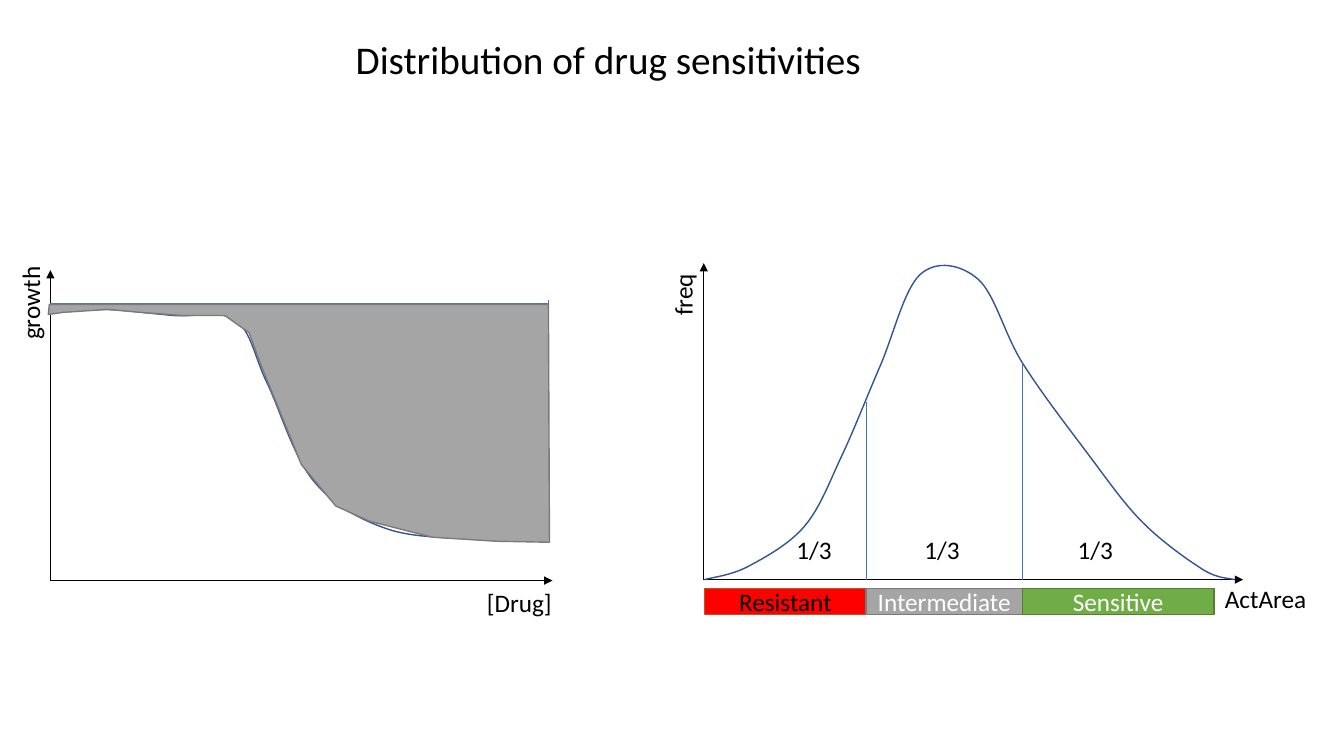
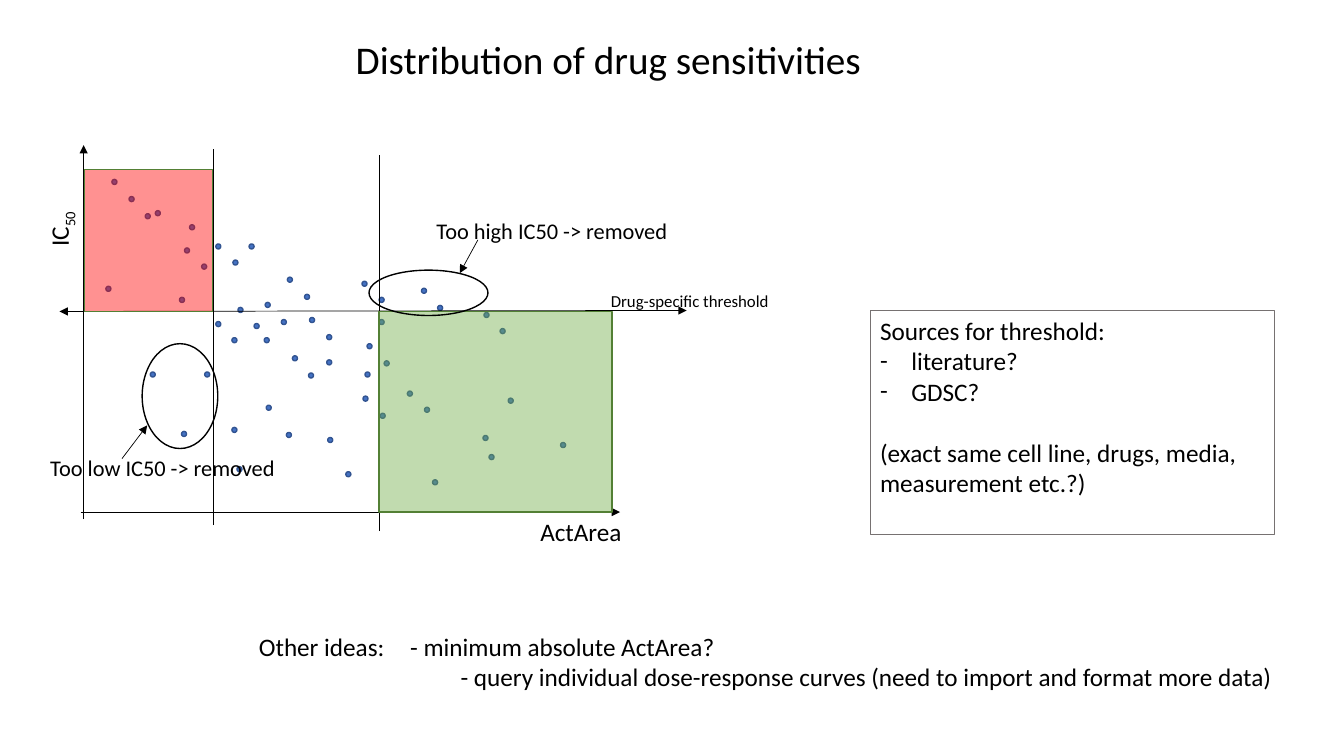
"""Build two slides on the distribution of drug sensitivities."""
import dataclasses
import itertools

import lxml.etree
import pptx
import pptx.dml.color
import pptx.enum.dml
import pptx.enum.shapes
import pptx.enum.text
import pptx.oxml
import pptx.oxml.ns
import pptx.util

COLUMNS, ROWS = 13.33, 7.5
TITLE = "Distribution of drug sensitivities"


@dataclasses.dataclass(frozen=True)
class Theme:
    font: str = "Calibri"
    title: int = 28
    body: int = 18
    note: int = 16
    small: int = 12
    hairline: float = 0.5
    frame: float = 0.75
    outline: float = 1
    ink: str = "000000"
    paper: str = "FFFFFF"
    blue: str = "4472C4"
    navy: str = "325491"
    red: str = "FF0000"
    rust: str = "AF5C24"
    grey: str = "A5A5A5"
    slate: str = "7A7A7A"
    stone: str = "767171"
    green: str = "70AD47"
    forest: str = "538035"
    veil: int = 43


class Deck:
    def __init__(self, theme):
        self.theme = theme
        self.file = pptx.Presentation()
        self.file.slide_width = pptx.util.Inches(COLUMNS)
        self.file.slide_height = pptx.util.Inches(ROWS)
        self.shapes = None

    def grid(self, *cells):
        return [round(self.file.slide_width / COLUMNS * cell) for cell in cells]

    def slide(self, title):
        self.shapes = self.file.slides.add_slide(self.file.slide_layouts[6]).shapes
        self.label(title, 3.43, 0.3, 5.27, 0.57, size=self.theme.title)

    def child(self, parent, tag, **attributes):
        element = lxml.etree.SubElement(parent, pptx.oxml.ns.qn(tag))
        for key, value in attributes.items():
            element.set(key, str(value))
        return element

    def run(self, paragraph, text, size=None, colour=None, baseline=0):
        piece = paragraph.add_run()
        piece.text = text
        piece.font.name = self.theme.font
        piece.font.size = pptx.util.Pt(size or self.theme.body)
        piece.font.color.rgb = pptx.dml.color.RGBColor.from_string(colour or self.theme.ink)
        if baseline:
            piece.font._element.set("baseline", str(baseline * 1000))

    def textbox(self, left, top, width, height, turn=0):
        box = self.shapes.add_textbox(*self.grid(left, top, width, height))
        box.rotation = turn
        box.text_frame.word_wrap = False
        box.text_frame.auto_size = pptx.enum.text.MSO_AUTO_SIZE.SHAPE_TO_FIT_TEXT
        return box.text_frame

    def label(self, text, left, top, width, height=0.4, size=None, turn=0, subscript=""):
        paragraph = self.textbox(left, top, width, height, turn).paragraphs[0]
        self.run(paragraph, text, size)
        if subscript:
            self.run(paragraph, subscript, size, baseline=-25)

    def stroke(self, shape, colour, weight):
        shape.line.color.rgb = pptx.dml.color.RGBColor.from_string(colour)
        shape.line.width = pptx.util.Pt(weight)

    def paint(self, shape, fill, outline, weight, opacity=100):
        shape.shadow.inherit = False
        self.stroke(shape, outline, weight)
        if fill is None:
            shape.fill.background()
            return
        shape.fill.solid()
        shape.fill.fore_color.rgb = pptx.dml.color.RGBColor.from_string(fill)
        if opacity < 100:
            colour = shape._element.spPr.find(".//" + pptx.oxml.ns.qn("a:solidFill"))[0]
            self.child(colour, "a:alpha", val=opacity * 1000)

    def preset(self, kind, left, top, width, height, fill=None, outline=None,
               weight=None, opacity=100):
        shape = self.shapes.add_shape(kind, *self.grid(left, top, width, height))
        self.paint(shape, fill, outline or self.theme.ink, weight or self.theme.outline, opacity)
        return shape

    def rectangle(self, *box, **style):
        return self.preset(pptx.enum.shapes.MSO_SHAPE.RECTANGLE, *box, **style)

    def ellipse(self, *box, **style):
        return self.preset(pptx.enum.shapes.MSO_SHAPE.OVAL, *box, **style)

    def line(self, start, end, colour=None, head=False, tail=False):
        connector = self.shapes.add_connector(
            pptx.enum.shapes.MSO_CONNECTOR.STRAIGHT, *self.grid(*start, *end))
        self.stroke(connector, colour or self.theme.ink, self.theme.hairline)
        properties = connector._element.spPr
        stroke = properties.find(pptx.oxml.ns.qn("a:ln"))
        for tag, wanted in (("a:headEnd", head), ("a:tailEnd", tail)):
            if wanted:
                self.child(stroke, tag, type="triangle")
        self.child(properties, "a:effectLst")

    def arrow(self, start, end, head=False):
        self.line(start, end, head=head, tail=True)

    def outline(self, points, closed, fill, colour):
        corners = [self.grid(*point) for point in points]
        builder = self.shapes.build_freeform(*corners[0])
        builder.add_line_segments(corners[1:], close=closed)
        shape = builder.convert_to_shape()
        self.paint(shape, fill, colour, self.theme.outline)
        return shape

    def curve(self, points):
        shape = self.outline(points, False, None, self.theme.navy)
        trace = shape._element.spPr.find(".//" + pptx.oxml.ns.qn("a:path"))
        knots = [(int(point.get("x")), int(point.get("y")))
                 for point in trace.iter(pptx.oxml.ns.qn("a:pt"))]
        for segment in trace.findall(pptx.oxml.ns.qn("a:lnTo")):
            trace.remove(segment)
        padded = [knots[0], *knots, knots[-1]]
        for before, start, end, after in zip(padded, padded[1:], padded[2:], padded[3:]):
            leave = [s + (e - b) / 6 for b, s, e in zip(before, start, end)]
            arrive = [e - (a - s) / 6 for s, e, a in zip(start, end, after)]
            bezier = self.child(trace, "a:cubicBezTo")
            for x, y in (leave, arrive, end):
                self.child(bezier, "a:pt", x=round(x), y=round(y))

    def band(self, text, left, top, width, height, fill, outline, ink):
        frame = self.rectangle(left, top, width, height, fill=fill, outline=outline).text_frame
        frame.word_wrap = True
        frame.vertical_anchor = pptx.enum.text.MSO_ANCHOR.MIDDLE
        frame.paragraphs[0].alignment = pptx.enum.text.PP_ALIGN.CENTER
        self.run(frame.paragraphs[0], text, colour=ink)

    def indent(self, paragraph, left, first=0, bullet="", tab=0):
        properties = paragraph._p.get_or_add_pPr()
        margin, hang, stop = self.grid(left, first, tab)
        properties.set("marL", str(margin))
        properties.set("indent", str(hang))
        if bullet:
            self.child(properties, "a:buFont", typeface=self.theme.font)
            self.child(properties, "a:buChar", char=bullet)
        if tab:
            self.child(self.child(properties, "a:tabLst"), "a:tab", pos=stop, algn="l")

    def question_box(self, heading, bullets, remark, *box):
        frame = self.rectangle(*box, outline=self.theme.stone,
                               weight=self.theme.frame).text_frame
        frame.word_wrap = True
        frame.vertical_anchor = pptx.enum.text.MSO_ANCHOR.TOP
        for position, text in enumerate((heading, *bullets, remark)):
            paragraph = frame.add_paragraph() if position else frame.paragraphs[0]
            paragraph.alignment = pptx.enum.text.PP_ALIGN.LEFT
            if text in bullets:
                self.indent(paragraph, 0.31, -0.31, bullet="-")
            elif position:
                paragraph.space_before = pptx.util.Pt(22)
            self.run(paragraph, text)

    def idea_list(self, heading, ideas, left, top, width, height, tab):
        frame = self.textbox(left, top, width, height)
        opening = frame.paragraphs[0]
        self.indent(opening, 0, tab=tab)
        self.run(opening, heading + "\t" + ideas[0])
        for idea in ideas[1:]:
            paragraph = frame.add_paragraph()
            self.indent(paragraph, tab)
            self.run(paragraph, idea)


def frequency_plot(deck):
    theme = deck.theme
    origin, baseline = 6.98, 5.75
    deck.arrow((origin, baseline), (12.33, baseline))
    deck.arrow((origin, baseline), (origin, 2.61))
    deck.curve([(6.99, 5.75), (7.42, 5.62), (7.98, 5.22), (8.35, 4.52), (8.73, 3.63),
                (9.13, 2.72), (9.7, 2.77), (10.14, 3.6), (10.78, 4.49), (11.33, 5.18),
                (11.93, 5.65), (12.24, 5.75)])
    edges = (6.99, 8.59, 10.14, 12.04)
    for cut, height in zip(edges[1:], (3.99, 3.6)):
        deck.line((cut, height), (cut, baseline), theme.blue)
    for left in (7.8, 9.07, 10.59):
        deck.label("1/3", left, 5.25, 0.56)
    deck.label("freq", 6.46, 2.72, 0.62, turn=270)
    deck.label("ActArea", 12.05, 5.74, 1.02)
    groups = (("Resistant", theme.red, theme.rust, theme.ink),
              ("Intermediate", theme.grey, theme.slate, theme.paper),
              ("Sensitive", theme.green, theme.forest, theme.paper))
    for (left, right), (name, *colours) in zip(itertools.pairwise(edges), groups):
        deck.band(name, left, 5.84, right - left, 0.26, *colours)


def growth_plot(deck):
    theme = deck.theme
    deck.arrow((0.5, 5.76), (5.48, 5.76))
    deck.arrow((0.5, 5.75), (0.5, 2.68))
    deck.label("growth", -0.17, 2.8, 0.94, turn=270)
    deck.label("[Drug]", 4.73, 5.78, 0.85)
    deck.curve([(0.51, 3.09), (1.06, 3.07), (1.72, 3.13), (2.34, 3.18), (2.65, 3.8),
                (3.11, 4.77), (3.85, 5.25), (4.83, 5.35), (5.44, 5.36)])
    deck.line((0.5, 3.01), (5.44, 3.01), theme.blue)
    deck.line((5.44, 2.98), (5.44, 5.38), theme.blue)
    activity_area = [(0.49, 3.02), (5.44, 3.02), (5.45, 5.38), (4.92, 5.37), (4.29, 5.33),
                     (3.66, 5.17), (3.33, 5.02), (2.99, 4.61), (2.82, 4.19), (2.6, 3.65),
                     (2.47, 3.3), (2.23, 3.13), (1.8, 3.13), (1.4, 3.1), (1.07, 3.07),
                     (0.62, 3.1), (0.48, 3.12)]
    deck.outline(activity_area, True, theme.grey, theme.slate)


def threshold_plot(deck):
    theme = deck.theme
    cell_lines = [
        (1.78, 2.95), (2.47, 2.42), (2.14, 2.42), (4.8, 3.1), (2.85, 2.75), (3.59, 2.79),
        (1.83, 2.46), (1.11, 1.78), (2.14, 3.19), (2, 2.62), (2.3, 3.35), (2.36, 3.05),
        (3.77, 4.1), (4.04, 3.88), (1.8, 4.28), (3.62, 3.69), (2.03, 3.69), (1.88, 2.23),
        (3.02, 2.92), (4.18, 2.86), (3.76, 3.17), (4.85, 4.51), (5.04, 3.95), (4.96, 3.26),
        (4.34, 3.03), (3.76, 2.95), (1.54, 2.09), (1.28, 1.95), (1.44, 2.12), (2.9, 3.53),
        (2.31, 2.58), (2.63, 3), (3.6, 3.93), (3.24, 3.57), (3.06, 3.7), (3.64, 3.41),
        (2.84, 4.29), (2.64, 4.02), (1.49, 3.69), (1.05, 2.84), (4.29, 4.76), (4.79, 4.32),
        (5.56, 4.39), (3.43, 4.68), (2.35, 4.63), (2.3, 4.24), (3.25, 4.34), (3.07, 3.15),
        (4.21, 4.04), (3.81, 3.58), (3.24, 3.32), (2.79, 3.17), (2.62, 3.35), (2.52, 3.21)]
    deck.arrow((0.8, 5.08), (6.15, 5.08))
    deck.label("IC", 0.3, 2.06, 0.57, turn=270, subscript="50")
    deck.label("ActArea", 5.26, 5.07, 1.02)
    deck.arrow((0.83, 5.15), (0.83, 1.44))
    for left, top in cell_lines:
        deck.ellipse(left, top, 0.05, 0.05, fill=theme.blue, outline=theme.navy)
    for cut, bottom, top in ((3.76, 5.27, 1.54), (2.12, 5.21, 1.48)):
        deck.line((cut, bottom), (cut, top))
    deck.arrow((0.59, 3.09), (6.81, 3.08), head=True)
    deck.label("Drug-specific threshold", 5.96, 2.84, 1.78, 0.3, theme.small)
    deck.rectangle(3.76, 3.09, 2.31, 1.99, fill=theme.green, outline=theme.forest,
                   opacity=theme.veil)
    deck.arrow((4.74, 2.38), (4.56, 2.71))
    deck.ellipse(3.66, 2.68, 1.18, 0.45)
    deck.label("Too high IC50 -> removed", 4.23, 2.11, 2.52, 0.37, theme.note)
    deck.ellipse(1.41, 3.41, 0.75, 1.04)
    deck.arrow((1.21, 4.55), (1.46, 4.22))
    deck.label("Too low IC50 -> removed", 0.4, 4.46, 2.46, 0.37, theme.note)
    deck.rectangle(0.84, 1.68, 1.27, 1.41, fill=theme.red, outline=theme.forest,
                   opacity=theme.veil)


def main():
    deck = Deck(Theme())
    deck.slide(TITLE)
    frequency_plot(deck)
    growth_plot(deck)
    deck.slide(TITLE)
    threshold_plot(deck)
    deck.question_box("Sources for threshold:", ("literature?", "GDSC?"),
                      "(exact same cell line, drugs, media, measurement etc.?)",
                      8.63, 3.08, 4.01, 2.22)
    deck.idea_list("Other ideas:", ("- minimum absolute ActArea?",
                   "- query individual dose-response curves (need to import and format more data)"),
                   2.47, 6.21, 10.37, 0.71, tab=2)
    deck.file.save("out.pptx")


if __name__ == "__main__":
    main()
